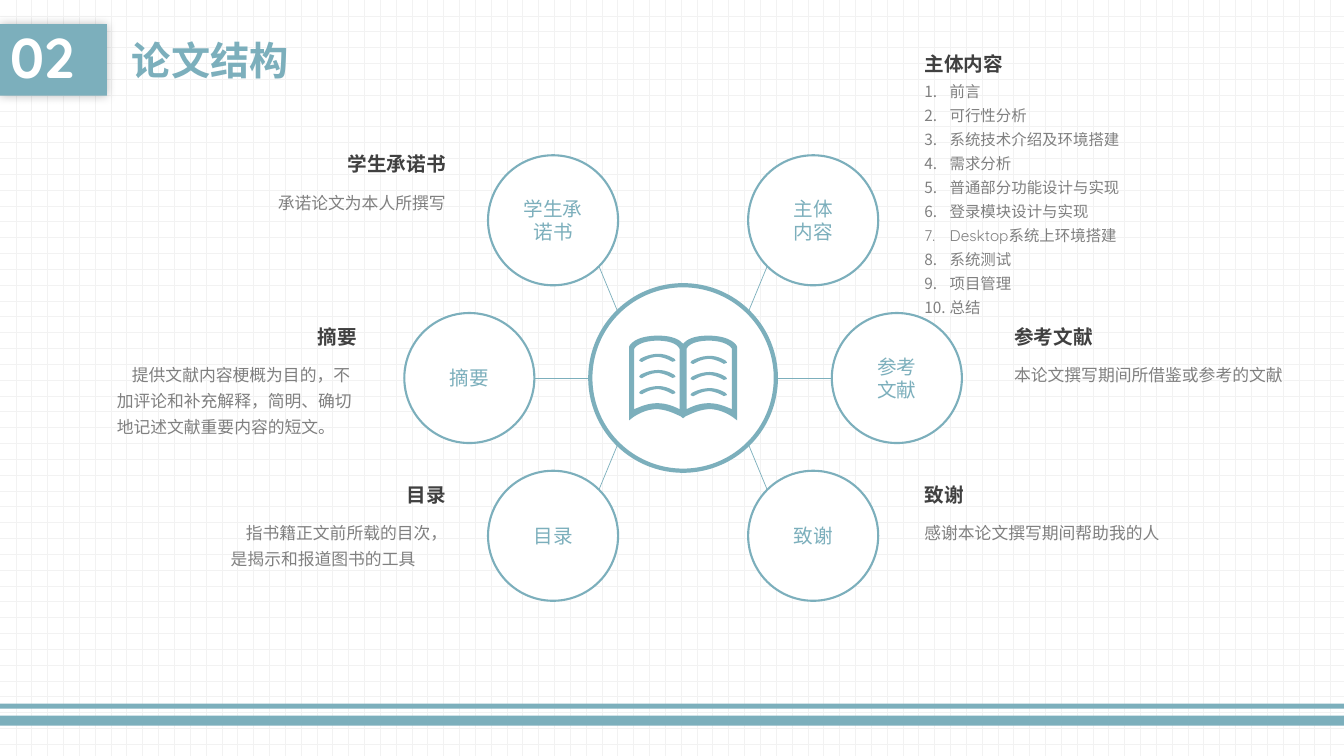
"""Build the thesis structure slide: six topics around an open book."""
import pptx
import pptx.util
import pptx.dml.color
import pptx.enum.dml
import pptx.enum.shapes
import pptx.enum.text
import pptx.oxml
import pptx.oxml.ns
import lxml.etree

Inches = pptx.util.Inches
Pt = pptx.util.Pt
Kind = pptx.enum.shapes.MSO_SHAPE
Align = pptx.enum.text.PP_ALIGN
Anchor = pptx.enum.text.MSO_ANCHOR
qn = pptx.oxml.ns.qn
NS = 'xmlns:a="http://schemas.openxmlformats.org/drawingml/2006/main"'
TEAL, WHITE, DARK, GRAY = "7CAFBC", "FFFFFF", "404040", "808080"
MID, HUB = 6.775, 3.75

deck = pptx.Presentation()
deck.slide_width, deck.slide_height = Inches(13.33), Inches(7.5)
slide = deck.slides.add_slide(deck.slide_layouts[6])
shapes = slide.shapes
color = pptx.dml.color.RGBColor.from_string


def write(shape, text, size=12, ink=GRAY, bold=False, align=Align.LEFT, lead=1.3,
          before=0, anchor=Anchor.TOP, wrap=True, first=0, count=False, font="Quicksand"):
    frame = shape.text_frame
    frame.word_wrap, frame.vertical_anchor = wrap, anchor
    frame.text = text
    for para in frame.paragraphs:
        para.alignment, para.line_spacing = align, lead
        para.space_before = Pt(before)
        face = para.runs[0].font
        face.name, face.size, face.bold = font, Pt(size), bold
        face.color.rgb = color(ink)
        props = para._p.get_or_add_pPr()
        if first:
            props.set("indent", str(Inches(first)))
        if count:
            props.set("marL", str(Inches(0.25)))
            props.set("indent", str(Inches(-0.25)))
            props.append(pptx.oxml.parse_xml(f'<a:buAutoNum {NS} type="arabicPeriod"/>'))


def paint(shape, fill=TEAL, line=None, width=1.5):
    shape.shadow.inherit = False
    shape.fill.solid()
    shape.fill.fore_color.rgb = color(fill)
    if line:
        shape.line.color.rgb = color(line)
        shape.line.width = Pt(width)
    else:
        shape.line.fill.background()
    return shape


back = slide.background.fill
back.patterned()
back.pattern = pptx.enum.dml.MSO_PATTERN.DOTTED_GRID
back.fore_color.rgb, back.back_color.rgb = color("F2F2F2"), color(WHITE)

for top, high in [(7.1, 0.1), (6.98, 0.05)]:
    paint(shapes.add_shape(Kind.RECTANGLE, 0, Inches(top), deck.slide_width, Inches(high)))

badge = paint(shapes.add_shape(Kind.RECTANGLE, 0, Inches(0.24), Inches(1.06), Inches(0.71)))
badge._element.spPr.find(qn("a:effectLst")).append(pptx.oxml.parse_xml(
    f'<a:outerShdw {NS} blurRad="{Pt(7)}" dist="0"><a:srgbClr val="000000">'
    '<a:alpha val="25000"/></a:srgbClr></a:outerShdw>'))
write(badge, "02", size=40, ink=WHITE, bold=True, lead=0.9, before=10, anchor=Anchor.MIDDLE)
title = shapes.add_textbox(Inches(1.21), Inches(0.24), Inches(7.04), Inches(0.71))
write(title, "论文结构", size=28, ink=TEAL, bold=True, lead=1, before=10, anchor=Anchor.MIDDLE)

paint(shapes.add_shape(Kind.OVAL, Inches(MID - 0.92), Inches(HUB - 0.92),
                       Inches(1.84), Inches(1.84)), WHITE, TEAL, 3)

cover = [[(6.775, 3.41)], [(6.74, 3.37), (6.67, 3.33), (6.53, 3.33)],
         [(6.29, 3.33), (6.24, 3.43), (6.24, 3.44)], [(6.24, 4.17)], [(6.28, 4.14)],
         [(6.28, 4.14), (6.4, 4.05), (6.53, 4.06)],
         [(6.64, 4.07), (6.72, 4.12), (6.75, 4.13)], [(6.775, 4.15)]]
page = [[(6.74, 4.06)], [(6.7, 4.04), (6.62, 4), (6.52, 4)],
        [(6.42, 4), (6.34, 4.04), (6.29, 4.06)], [(6.29, 3.46)],
        [(6.3, 3.44), (6.36, 3.38), (6.52, 3.38)], [(6.69, 3.38), (6.73, 3.44), (6.74, 3.46)]]
wave = [[(6.69, 3.56)], [(6.69, 3.56), (6.62, 3.51), (6.53, 3.51)],
        [(6.43, 3.51), (6.35, 3.56), (6.35, 3.56)], [(6.34, 3.57), (6.34, 3.58), (6.34, 3.58)],
        [(6.35, 3.59), (6.35, 3.59), (6.36, 3.59)], [(6.37, 3.59)],
        [(6.37, 3.59), (6.44, 3.54), (6.53, 3.54)], [(6.61, 3.55), (6.67, 3.59), (6.67, 3.59)],
        [(6.68, 3.59), (6.69, 3.59), (6.7, 3.58)], [(6.7, 3.58), (6.7, 3.57), (6.69, 3.56)]]
pair = []
for side in (cover, page):
    turn = [[side[-1][-1]]]
    for last, part in zip(side[-2::-1], side[:0:-1]):
        turn.append(part[-2::-1] + [last[-1]] if len(part) > 1 else [last[-1]])
    pair.append([[(2 * MID - x, y) for x, y in part] for part in turn])
rim = cover + pair[0][1:]
waves = [[[[(x + dx, y + dy + 0.16 * row) for x, y in part] for part in wave]]
         for dx, dy in [(0, 0), (0.51, 0.02)] for row in range(3)]
for loops in [[rim, page, pair[1]]] + waves:
    loops = [[[(round(x * 1000), round(y * 1000)) for x, y in part] for part in loop]
             for loop in loops]
    ends = [[part[-1] for part in loop] for loop in loops]
    pen = shapes.build_freeform(*ends[0][0], scale=914.4)
    for index, dots in enumerate(ends):
        if index:
            pen.move_to(*dots[0])
        pen.add_line_segments(dots[1:], close=True)
    form = paint(pen.convert_to_shape())
    west = min(x for dots in ends for x, y in dots)
    north = min(y for dots in ends for x, y in dots)
    steps = [part for loop in loops for part in loop[1:]]
    for edge, part in zip(list(form._element.iter(qn("a:lnTo"))), steps):
        if len(part) == 3:
            spots = "".join(f'<a:pt x="{x - west}" y="{y - north}"/>' for x, y in part)
            curve = pptx.oxml.parse_xml(f"<a:cubicBezTo {NS}>{spots}</a:cubicBezTo>")
            edge.getparent().replace(edge, curve)

for side in (-1, 1):
    for x1, y1, x2, y2 in [(0.835, -1.11, 0.645, -0.65), (1.475, 0, 0.92, 0),
                           (0.835, 1.11, 0.645, 0.65)]:
        spoke = shapes.add_connector(
            pptx.enum.shapes.MSO_CONNECTOR.STRAIGHT, Inches(MID + side * x1), Inches(HUB + y1),
            Inches(MID + side * x2), Inches(HUB + y2))
        spoke.line.color.rgb, spoke.line.width = color(TEAL), Pt(0.5)
        lxml.etree.SubElement(spoke._element.spPr, qn("a:effectLst"))

parts = "\n".join(["前言", "可行性分析", "系统技术介绍及环境搭建", "需求分析", "普通部分功能设计与实现",
                   "登录模块设计与实现", "Desktop系统上环境搭建", "系统测试", "项目管理", "总结"])
topics = [
    ("主体内容", "主体\n内容", 7.42, 0, 9.07, 0.4, parts, 3.26,
     dict(size=11, count=True)),
    ("参考文献", "参考\n文献", 8.25, 1, 9.96, 3.1, "本论文撰写期间所借鉴或参考的文献", 3.26, {}),
    ("致谢", "致谢", 7.42, 2, 9.07, 4.67, "感谢本论文撰写期间帮助我的人", 3.26, {}),
    ("学生承诺书", "学生承诺书", 4.84, 0, 4.52, 1.39, "承诺论文为本人所撰写", 2.33,
     dict(align=Align.RIGHT, font="Noto Sans CJK SC")),
    ("摘要", "摘要", 4.01, 1, 3.64, 3.1,
     "提供文献内容梗概为目的，不加评论和补充解释，简明、确切地记述文献重要内容的短文。", 2.58,
     dict(first=0.15)),
    ("目录", "目录", 4.84, 2, 4.52, 4.67, "指书籍正文前所载的目次，是揭示和报道图书的工具", 2.33,
     dict(first=0.15)),
]
for name, label, left, row, edge, top, body, wide, style in topics:
    ring = shapes.add_shape(Kind.OVAL, Inches(left), Inches(1.54 + 1.565 * row),
                            Inches(1.29), Inches(1.29))
    write(paint(ring, WHITE, TEAL), label, size=14, ink=TEAL, lead=1,
          align=Align.CENTER, anchor=Anchor.MIDDLE)
    west = edge < MID
    span = 0.2 + 0.195 * len(name)
    high, drop = (2.48, 0.31) if style.get("count") else (0.34, 0.41)
    note = shapes.add_textbox(Inches(edge - wide * west), Inches(top + drop),
                              Inches(wide), Inches(high))
    write(note, body, **style)
    head = shapes.add_textbox(Inches(edge - span * west), Inches(top), Inches(span), Inches(0.38))
    write(head, name, size=14, ink=DARK, bold=True, wrap=False,
          align=Align.RIGHT if west else Align.LEFT)

deck.save("out.pptx")
